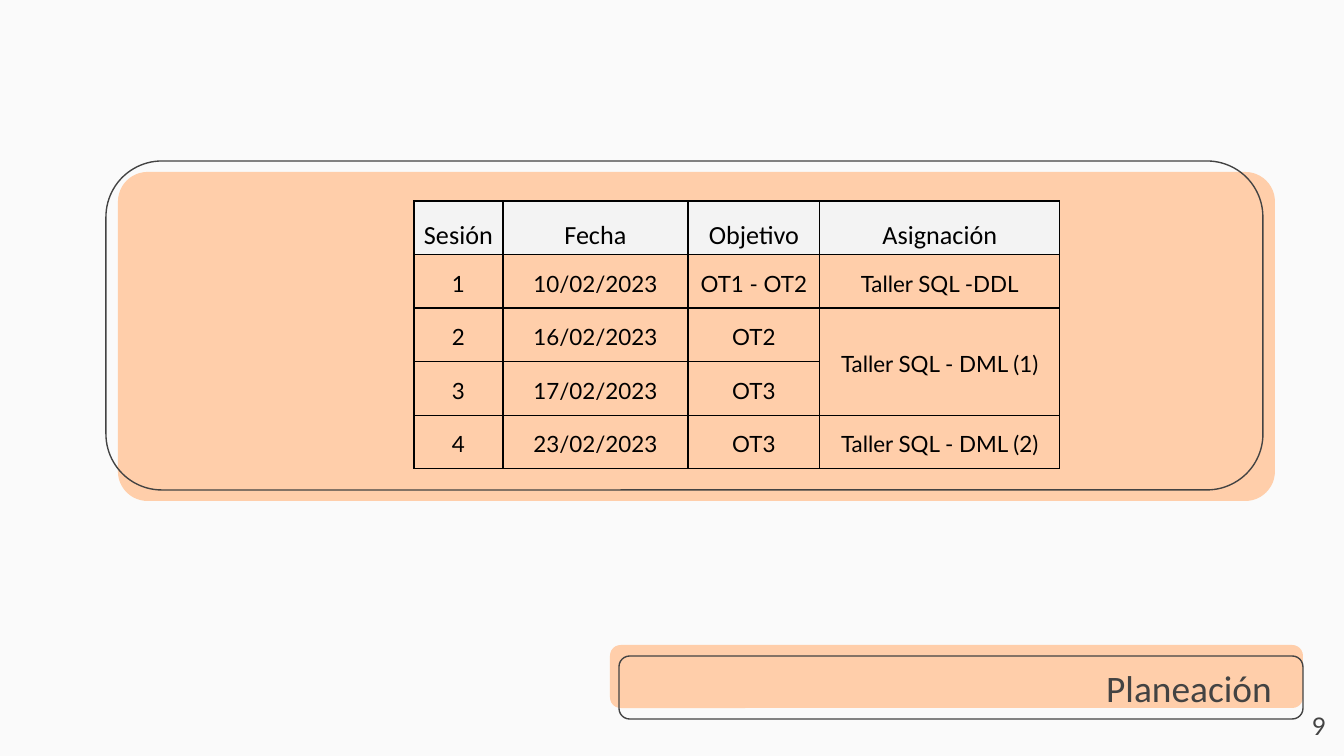
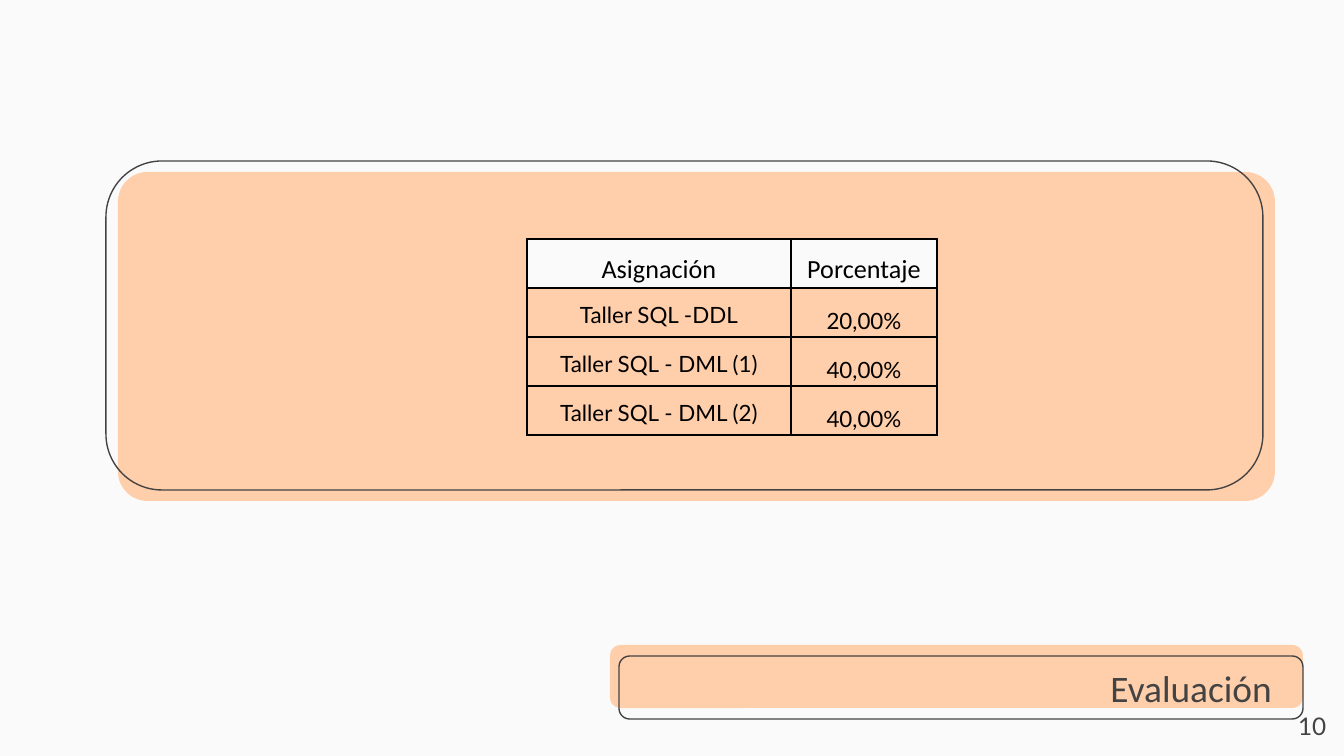
from lxml.etree import SubElement
from pptx import Presentation
from pptx.dml.color import RGBColor
from pptx.enum.shapes import MSO_SHAPE
from pptx.enum.text import MSO_ANCHOR, MSO_AUTO_SIZE, PP_ALIGN
from pptx.oxml.ns import qn
from pptx.util import Emu, Pt

PAPER = RGBColor(0xFA, 0xFA, 0xFA)
PEACH = RGBColor(0xFF, 0xCE, 0xAA)
GRAPHITE = RGBColor(0x43, 0x43, 0x43)
BLACK = RGBColor(0, 0, 0)
LIGHT_GREY = RGBColor(0xF3, 0xF3, 0xF3)

HEADING_FONT = "Calibri"
BODY_FONT = "Lato"
LINE_WIDTH = Pt(0.75)
TITLE_ONLY = 5

PANEL_BOX = (106, 161, 1169, 340)
TITLE_BOX = (610, 645, 693, 74)
NUMBER_BOX = (1258, 698, 81, 58)


def px(n):
    return Emu(round(n * 914400 / 134.4))


def add_round_rect(slide, box, radius, fill=None):
    sp = slide.shapes.add_shape(MSO_SHAPE.ROUNDED_RECTANGLE, *map(px, box))
    sp.adjustments[0] = radius
    sp.shadow.inherit = False
    if fill is None:
        sp.fill.background()
        sp.line.color.rgb = GRAPHITE
        sp.line.width = LINE_WIDTH
    else:
        sp.fill.solid()
        sp.fill.fore_color.rgb = fill
        sp.line.fill.background()


def style_paragraph(p, align, font, size, color):
    p.alignment = align
    for r in p.runs:
        r.font.name = font
        r.font.size = Pt(size)
        r.font.color.rgb = color


def set_right_text(sp, text, font, size):
    tf = sp.text_frame
    tf.text = text
    tf.word_wrap = True
    tf.vertical_anchor = MSO_ANCHOR.TOP
    tf.margin_left = tf.margin_right = tf.margin_top = tf.margin_bottom = px(13)
    style_paragraph(tf.paragraphs[0], PP_ALIGN.RIGHT, font, size, GRAPHITE)


def add_panel(slide, box):
    x, y, w, h = box
    add_round_rect(slide, (x + 12, y + 11, w - 12, h - 11), 0.09, PEACH)
    add_round_rect(slide, (x, y, w - 12, h - 11), 0.17)


def add_title(slide, box, text):
    x, y, w, h = box
    add_round_rect(slide, (x, y, w, h - 11), 0.17, PEACH)
    add_round_rect(slide, (x + 9, y + 11, w - 9, h - 11), 0.17)
    title = slide.shapes.title
    slide.shapes._spTree.append(title._element)
    title.left, title.top = px(x + 234), px(y + 7)
    title.width, title.height = px(441), px(h - 1)
    set_right_text(title, text, HEADING_FONT, 20)
    title.text_frame.auto_size = MSO_AUTO_SIZE.SHAPE_TO_FIT_TEXT


def add_number(slide, box, number):
    sp = slide.shapes.add_textbox(*map(px, box))
    set_right_text(sp, str(number), BODY_FONT, 13)


def add_borders(cell):
    tc_pr = cell._tc.get_or_add_tcPr()
    for side in ("a:lnL", "a:lnR", "a:lnT", "a:lnB"):
        ln = SubElement(tc_pr, qn(side), w=str(LINE_WIDTH))
        fill = SubElement(ln, qn("a:solidFill"))
        SubElement(fill, qn("a:srgbClr"), val=str(BLACK))


def format_cell(cell, text, anchor, font, size, fill):
    cell.text = text
    cell.vertical_anchor = anchor
    cell.margin_left = cell.margin_right = px(4)
    cell.margin_top = cell.margin_bottom = px(3)
    p = cell.text_frame.paragraphs[0]
    p.line_spacing = 1.15
    style_paragraph(p, PP_ALIGN.CENTER, font, size, BLACK)
    add_borders(cell)
    if fill is None:
        cell.fill.background()
    else:
        cell.fill.solid()
        cell.fill.fore_color.rgb = fill


def add_grid(slide, box, widths, rows, header_fill, anchors):
    frame = slide.shapes.add_table(len(rows), len(widths), *map(px, box))
    table = frame.table
    table.first_row = table.horz_banding = False
    for column, width in zip(table.columns, widths):
        column.width = px(width)
    for i, row in enumerate(rows):
        for j, text in enumerate(row):
            cell = table.cell(i, j)
            if i == 0:
                format_cell(cell, text, MSO_ANCHOR.BOTTOM, HEADING_FONT, 14, header_fill)
            else:
                format_cell(cell, text, anchors[j], BODY_FONT, 12, None)
    return table


def add_base_slide(prs, title, number):
    slide = prs.slides.add_slide(prs.slide_layouts[TITLE_ONLY])
    add_panel(slide, PANEL_BOX)
    add_number(slide, NUMBER_BOX, number)
    add_title(slide, TITLE_BOX, title)
    return slide


def add_planning_slide(prs):
    slide = add_base_slide(prs, "Planeación", 9)
    rows = [
        ("Sesión", "Fecha", "Objetivo", "Asignación"),
        ("1", "10/02/2023", "OT1 - OT2", "Taller SQL -DDL"),
        ("2", "16/02/2023", "OT2", "Taller SQL - DML (1)"),
        ("3", "17/02/2023", "OT3", ""),
        ("4", "23/02/2023", "OT3", "Taller SQL - DML (2)"),
    ]
    table = add_grid(slide, (414, 201, 646, 268), (89, 185, 132, 240), rows,
                     LIGHT_GREY, [MSO_ANCHOR.MIDDLE] * 4)
    table.cell(2, 3).merge(table.cell(3, 3))


def add_grading_slide(prs):
    slide = add_base_slide(prs, "Evaluación", 10)
    rows = [
        ("Asignación", "Porcentaje"),
        ("Taller SQL -DDL", "20,00%"),
        ("Taller SQL - DML (1)", "40,00%"),
        ("Taller SQL - DML (2)", "40,00%"),
    ]
    add_grid(slide, (527, 239, 410, 196), (264, 146), rows,
             PAPER, [MSO_ANCHOR.MIDDLE, MSO_ANCHOR.BOTTOM])


def main():
    prs = Presentation()
    prs.slide_width, prs.slide_height = px(1344), px(756)
    background = prs.slide_master.background.fill
    background.solid()
    background.fore_color.rgb = PAPER
    add_planning_slide(prs)
    add_grading_slide(prs)
    prs.save("out.pptx")


if __name__ == "__main__":
    main()
